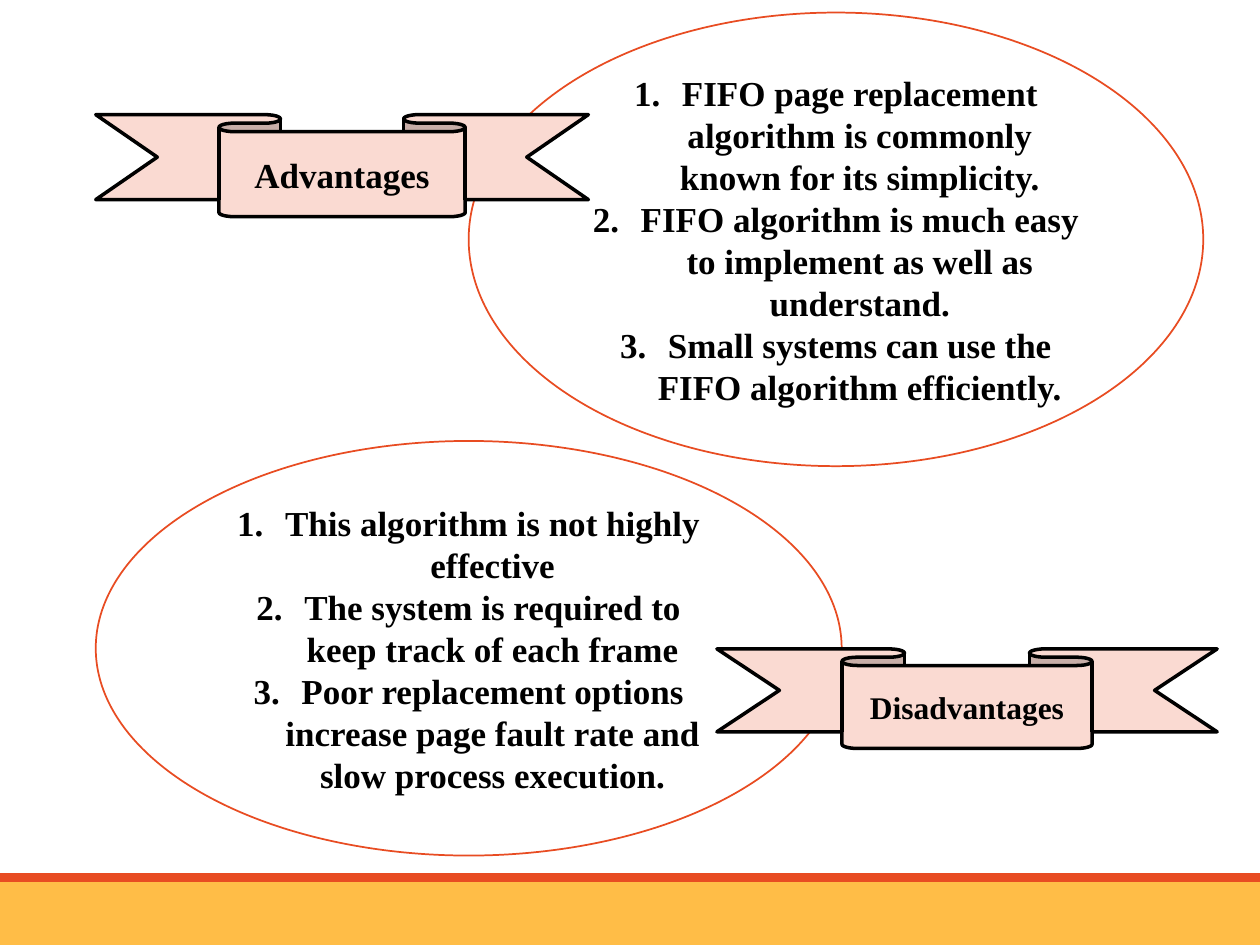
from lxml import etree
from pptx import Presentation
from pptx import util as u
from pptx.dml.color import RGBColor
from pptx.enum import shapes, text

W, H = 10, 7.5
FONT = "Times New Roman"
INK, RED, GOLD, PINK = "000000", "E84C22", "FFBD47", "FADAD2"
INDENT = u.Inches(0.38)
KIND = shapes.MSO_SHAPE

PROS = [
    "FIFO page replacement algorithm is commonly known for its simplicity.",
    "FIFO algorithm is much easy to implement as well as understand.",
    "Small systems can use the FIFO algorithm efficiently.",
]
CONS = [
    "This algorithm is not highly effective",
    "The system is required to keep track of each frame",
    "Poor replacement options increase page fault rate and "
    "slow process execution.",
]


def color(code):
    return RGBColor.from_string(code)


def add_form(slide, kind, box, fill=None, line=None, width=1):
    """Add a flat preset shape; box is left, top, width, height in inches."""
    form = slide.shapes.add_shape(kind, *(u.Inches(n) for n in box))
    form.shadow.inherit = False
    if fill:
        form.fill.solid()
        form.fill.fore_color.rgb = color(fill)
    else:
        form.fill.background()
    if line:
        form.line.color.rgb = color(line)
        form.line.width = u.Pt(width)
    else:
        form.line.fill.background()
    return form


def number(para):
    """Give a paragraph an automatic number with a hanging indent."""
    props = para._p.get_or_add_pPr()
    props.set("marL", str(INDENT))
    props.set("indent", str(-INDENT))
    space = props.nsmap["a"]
    tint = etree.SubElement(props, f"{{{space}}}buClr")
    etree.SubElement(tint, f"{{{space}}}srgbClr", val=INK)
    etree.SubElement(props, f"{{{space}}}buFont", typeface="+mj-lt")
    etree.SubElement(props, f"{{{space}}}buAutoNum", type="arabicPeriod")


def write(form, lines, size, listed=False):
    frame = form.text_frame
    frame.word_wrap = True
    frame.vertical_anchor = text.MSO_ANCHOR.MIDDLE
    for i, line in enumerate(lines):
        para = frame.paragraphs[0] if i == 0 else frame.add_paragraph()
        para.text = line
        para.alignment = text.PP_ALIGN.CENTER
        font = para.font
        font.name, font.size, font.bold = FONT, u.Pt(size), True
        font.color.rgb = color(INK)
        if listed:
            number(para)


def add_list(slide, box, lines, fill=None):
    form = add_form(slide, KIND.OVAL, box, fill, RED)
    write(form, lines, 20, listed=True)


def add_ribbon(slide, box, label, size):
    form = add_form(slide, KIND.DOWN_RIBBON, box, PINK, INK, 2)
    form.adjustments[0] = 0.167
    form.adjustments[1] = 0.5
    write(form, [label], size)


def main():
    deck = Presentation()
    deck.slide_width, deck.slide_height = u.Inches(W), u.Inches(H)
    slide = deck.slides.add_slide(deck.slide_layouts[6])

    # Footer bands
    add_form(slide, KIND.RECTANGLE, (0, H - 0.5, W, 0.5), GOLD)
    add_form(slide, KIND.RECTANGLE, (0, H - 0.57, W, 0.07), RED)

    # Numbered lists in ovals
    add_list(slide, (3.72, 0.1, 5.83, 3.6), PROS, "FFFFFF")
    add_list(slide, (0.76, 3.5, 5.92, 3.29), CONS)

    # Ribbon headings
    add_ribbon(slide, (5.69, 5.15, 3.97, 0.79), "Disadvantages", 18)
    add_ribbon(slide, (0.76, 0.91, 3.91, 0.81), "Advantages", 20)

    deck.save("out.pptx")


if __name__ == "__main__":
    main()
